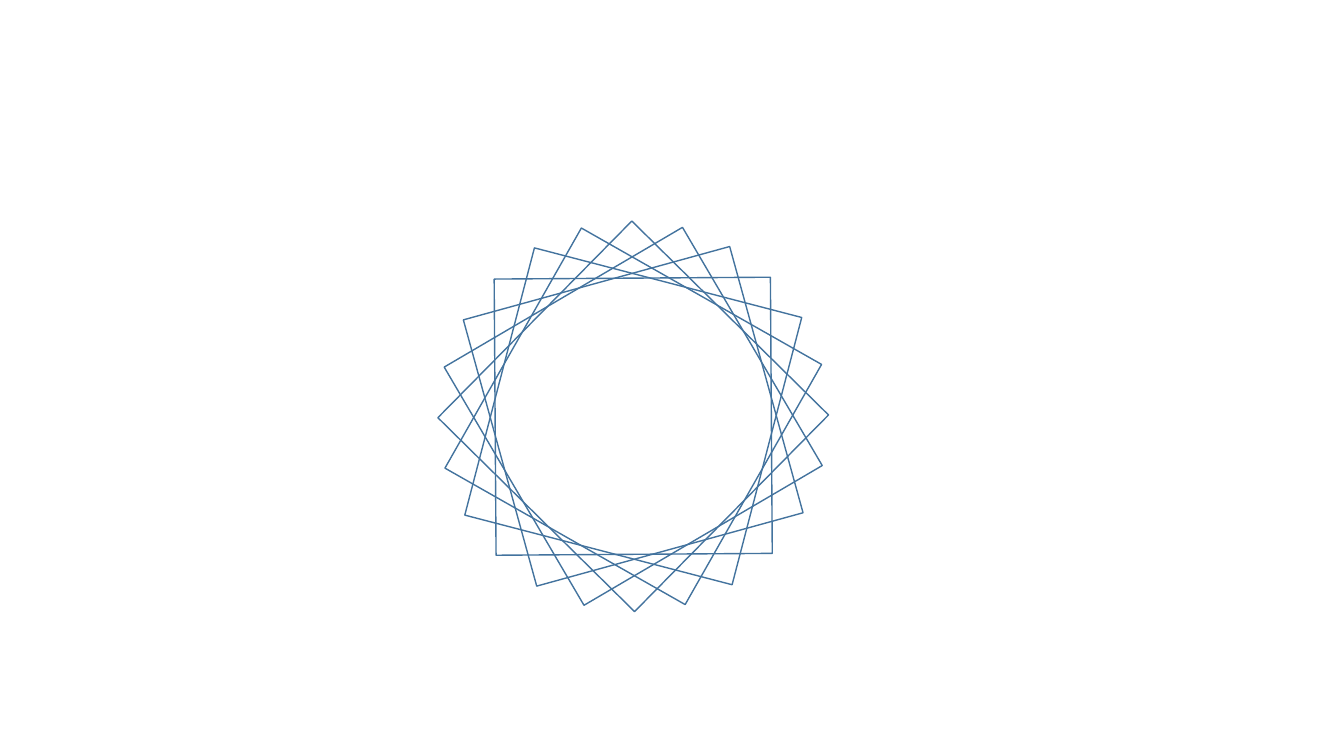
"""Build a slide with a rosette of rotated square outlines."""
from dataclasses import dataclass

from pptx import Presentation
from pptx.dml.color import RGBColor
from pptx.enum.shapes import MSO_SHAPE as Preset
from pptx.shapes.group import GroupShape
from pptx.util import Inches, Pt

LINE_COLOUR = "43739E"
FIRST_ANGLE = 89.6
STEP_ANGLE = 15
STACKING_STEPS = (0, 3, 5, 2, 1, 4)


@dataclass(frozen=True)
class Square:
    """A square outline, measured in inches and degrees."""

    rotation: float
    left: float = 4.91
    top: float = 2.76
    side: float = 2.74


def colour(hex_code: str) -> RGBColor:
    """Turn a hex string into a colour."""
    return RGBColor.from_string(hex_code)


def draw_square(rosette: GroupShape, square: Square) -> None:
    """Add one unfilled, rotated square to the rosette."""
    side = Inches(square.side)
    outline = rosette.shapes.add_shape(
        Preset.RECTANGLE, Inches(square.left), Inches(square.top), side, side
    )
    outline.rotation = square.rotation
    outline.shadow.inherit = False
    outline.fill.background()
    outline.line.color.rgb = colour(LINE_COLOUR)
    outline.line.width = Pt(1)


deck = Presentation()
deck.slide_width, deck.slide_height = Inches(13.33), Inches(7.5)
page = deck.slides.add_slide(deck.slide_layouts[6])
rosette = page.shapes.add_group_shape()
for step in STACKING_STEPS:
    draw_square(rosette, Square(FIRST_ANGLE + step * STEP_ANGLE))
deck.save("out.pptx")
